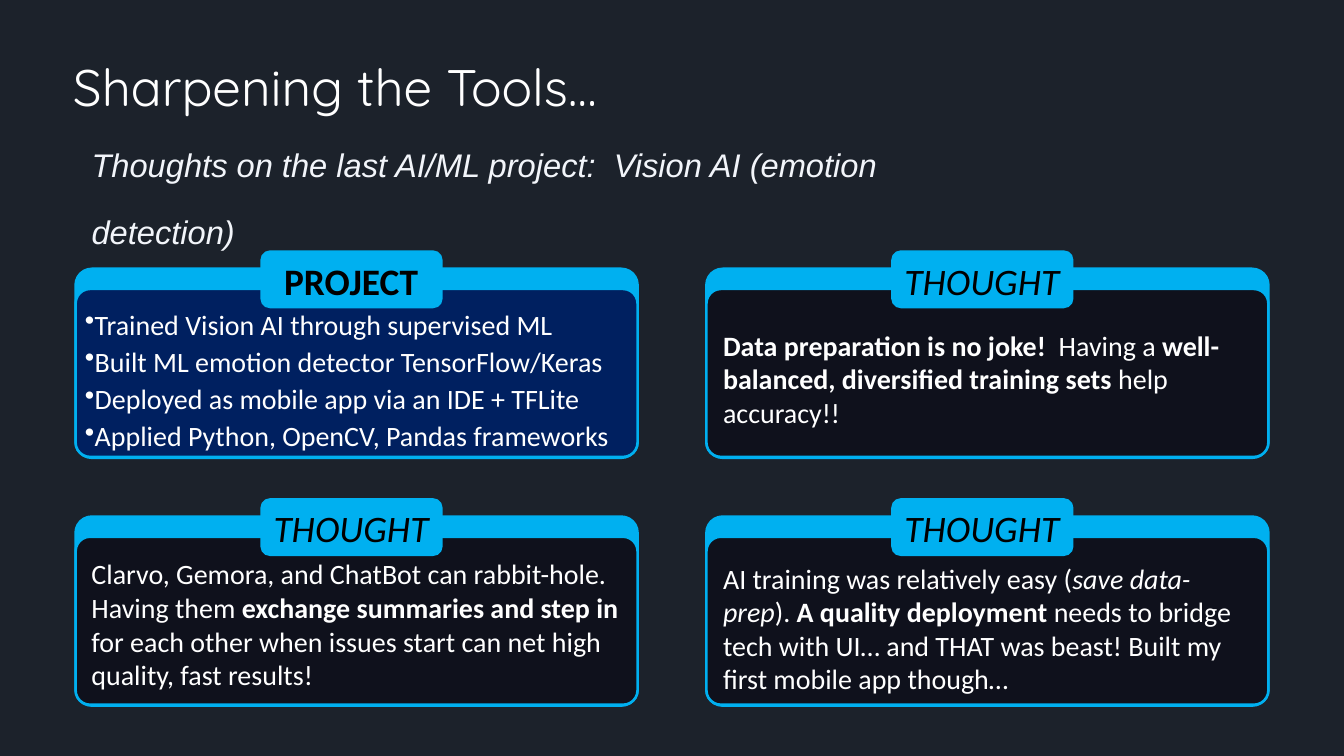
import pptx
import pptx.dml.color
import pptx.enum.shapes
import pptx.enum.text
import pptx.util
from lxml import etree

Inches = pptx.util.Inches
Pt = pptx.util.Pt
RGBColor = pptx.dml.color.RGBColor

BACKDROP = RGBColor(0x1C, 0x22, 0x2B)
CYAN = RGBColor(0x00, 0xB0, 0xF0)
NAVY = RGBColor(0x00, 0x20, 0x60)
INK = RGBColor(0x0F, 0x11, 0x1C)
PALE = RGBColor(0xF2, 0xF5, 0xFA)
WHITE = RGBColor(0xFF, 0xFF, 0xFF)
BLACK = RGBColor(0x00, 0x00, 0x00)


def add_round_box(shapes, x, y, w, h, fill, adjust=None):
    """A borderless tab, or a bordered panel when a corner adjustment is given."""
    sp = shapes.add_shape(pptx.enum.shapes.MSO_SHAPE.ROUNDED_RECTANGLE,
                          Inches(x), Inches(y), Inches(w), Inches(h))
    sp.shadow.inherit = False
    sp.fill.solid()
    sp.fill.fore_color.rgb = fill
    if adjust is None:
        sp.line.fill.background()
    else:
        sp.adjustments[0] = adjust
        sp.line.color.rgb = CYAN
        sp.line.width = Pt(2.25)


def add_text(shapes, x, y, w, h, paragraphs, size, font, color, inset=True):
    """Each paragraph is a list of (text, style) runs; style holds b and/or i."""
    tf = shapes.add_textbox(Inches(x), Inches(y), Inches(w), Inches(h)).text_frame
    tf.word_wrap = inset
    if not inset:
        tf.margin_left = tf.margin_right = tf.margin_top = tf.margin_bottom = 0
    for i, runs in enumerate(paragraphs):
        p = tf.paragraphs[0] if i == 0 else tf.add_paragraph()
        for text, style in runs:
            r = p.add_run()
            r.text = text
            r.font.size = Pt(size)
            r.font.name = font
            r.font.color.rgb = color
            r.font.bold = "b" in style
            r.font.italic = "i" in style
    return tf


prs = pptx.Presentation()
prs.slide_width = Inches(16)
prs.slide_height = Inches(9)
s = prs.slides.add_slide(prs.slide_layouts[6])
s.background.fill.solid()
s.background.fill.fore_color.rgb = BACKDROP

# Subtitle and title
tf = add_text(s.shapes, 0.77, 1.38, 11.34, 0.81,
              [[("Thoughts on the last AI/ML project:  Vision AI (emotion detection)", "i")]],
              28, "Arial", PALE, inset=False)
tf.margin_left = Inches(0.32)
tf.paragraphs[0].line_spacing = Pt(58)
add_text(s.shapes, 0.77, 0.61, 7.4, 0.84, [[("Sharpening the Tools…", "")]],
         44, "Quicksand", WHITE)

# Four cards in a two by two grid
CARDS = [("PROJECT", "b", NAVY), ("THOUGHT", "i", INK),
         ("THOUGHT", "i", INK), ("THOUGHT", "i", INK)]
for n, (label, style, fill) in enumerate(CARDS):
    x = 0.9 + n % 2 * 7.51
    y = 3.2 + n // 2 * 2.95
    card = s.shapes.add_group_shape().shapes
    add_round_box(card, x, y, 6.69, 2.25, CYAN, 0.086)
    add_round_box(card, x, y + 0.24, 6.69, 2, fill, 0.086)
    add_round_box(card, x + 2.2, y - 0.22, 2.17, 0.69, CYAN)
    tf = add_text(card, x + 2.15, y - 0.18, 2.26, 0.64, [[(label, style)]],
                  32, "Calibri", BLACK)
    tf.paragraphs[0].alignment = pptx.enum.text.PP_ALIGN.CENTER

# Project bullets
PROJECT = [
    "Trained Vision AI through supervised ML",
    "Built ML emotion detector TensorFlow/Keras",
    "Deployed as mobile app via an IDE + TFLite",
    "Applied Python, OpenCV, Pandas frameworks",
]
tf = add_text(s.shapes, 1.01, 3.66, 6.47, 1.64, [[(line, "")] for line in PROJECT],
              24, "Calibri", WHITE, inset=False)
for i, p in enumerate(tf.paragraphs):
    if i:
        p.space_before = Pt(3)
    pPr = p._p.get_or_add_pPr()
    pPr.set("marL", "0")
    pPr.set("indent", str(-Inches(0.19)))
    bullet = etree.SubElement(pPr, pptx.oxml.ns.qn("a:buChar"))
    bullet.set("char", "•")

# Thoughts
THOUGHTS = [
    (8.51, 3.86, 1.31, [
        ("Data preparation is no joke!  ", "b"),
        ("Having a ", ""),
        ("well-balanced, diversified training sets ", "b"),
        ("help accuracy!!", "")]),
    (0.99, 6.58, 1.72, [
        ("Clarvo, Gemora, and ChatBot can rabbit-hole. Having them ", ""),
        ("exchange summaries and step in ", "b"),
        ("for each other when issues start can net high quality, fast results!", "")]),
    (8.51, 6.63, 1.72, [
        ("AI training was relatively easy (", ""),
        ("save data-prep", "i"),
        ("). ", ""),
        ("A quality deployment ", "b"),
        ("needs to bridge tech with UI… and THAT was beast! "
         "Built my first mobile app though…", "")]),
]
for x, y, h, runs in THOUGHTS:
    add_text(s.shapes, x, y, 6.53, h, [runs], 24, "Calibri", WHITE)

prs.save("out.pptx")
